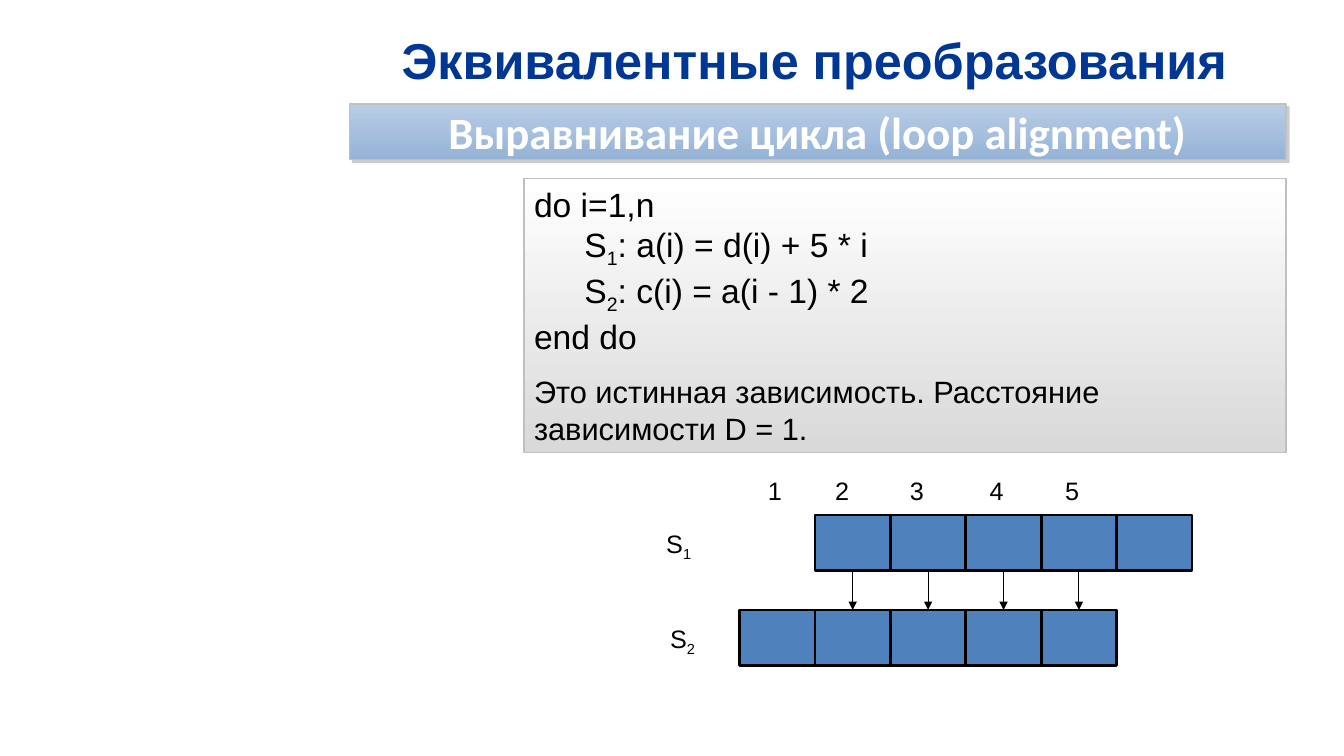
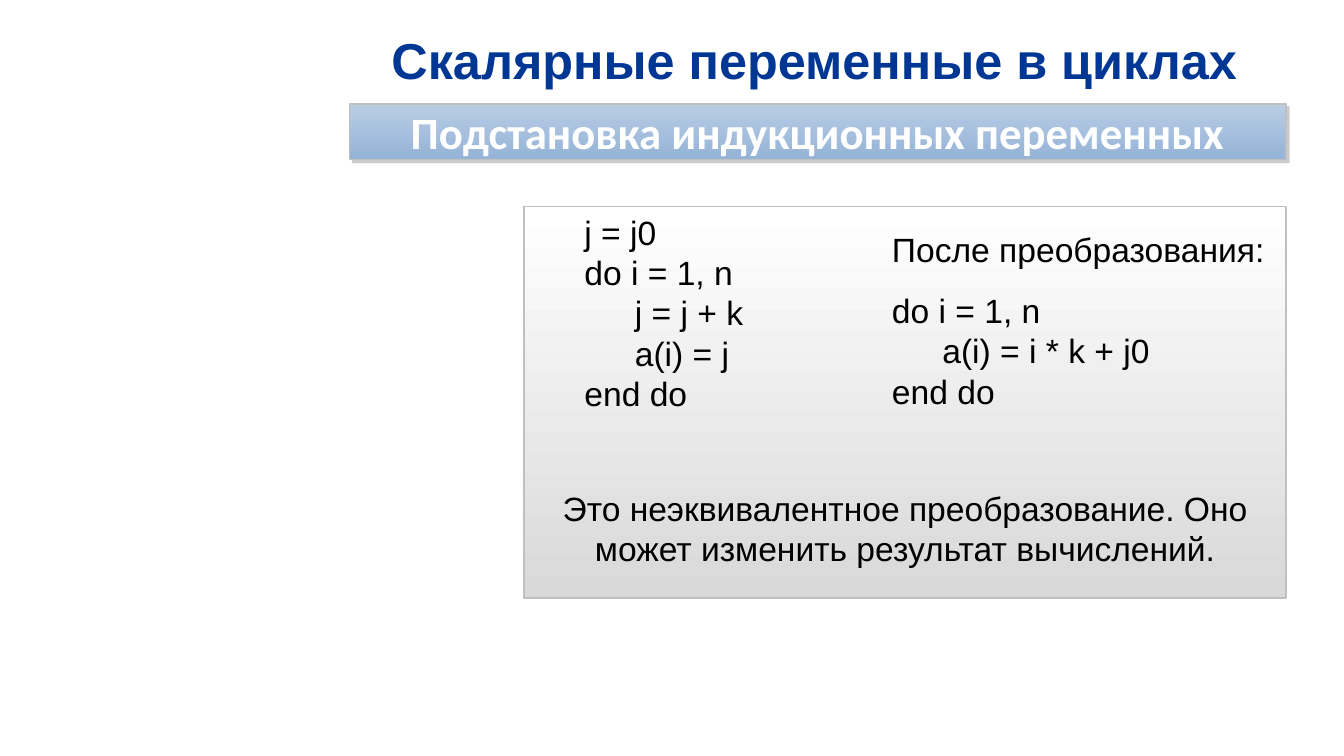
from lxml import etree
from pptx import Presentation
from pptx.dml.color import RGBColor
from pptx.enum.shapes import MSO_CONNECTOR, MSO_SHAPE
from pptx.enum.text import MSO_ANCHOR, MSO_AUTO_SIZE, PP_ALIGN
from pptx.oxml.ns import qn
from pptx.util import Cm, Pt

LEFT, MID = PP_ALIGN.LEFT, PP_ALIGN.CENTER
TOP, CENTRE = MSO_ANCHOR.TOP, MSO_ANCHOR.MIDDLE
RECT, LINE = MSO_SHAPE.RECTANGLE, MSO_CONNECTOR.STRAIGHT
ONLY_TITLE = 5

# Each line: indent level, runs (every second run is a subscript), format
LOOP = [
    (0, ["do i=1,n"], {}),
    (1, ["S", "1", ": a(i) = d(i) + 5 * i"], {}),
    (1, ["S", "2", ": c(i) = a(i - 1) * 2"], {}),
    (0, ["end do"], {}),
    (0, ["Это истинная зависимость. Расстояние зависимости D = 1."],
     {"style": "note", "space_before": Pt(12)}),
]
BEFORE = [
    (1, ["j = j0"], {}),
    (1, ["do i = 1, n"], {}),
    (2, ["j = j + k"], {}),
    (2, ["a(i) = j"], {}),
    (1, ["end do"], {}),
    (0, ["Это неэквивалентное преобразование. "
         "Оно может изменить результат вычислений."],
     {"alignment": MID, "space_before": Pt(53)}),
]
AFTER = [
    (0, ["После преобразования:"], {"space_after": Pt(15)}),
    (0, ["do i = 1, n"], {}),
    (1, ["a(i) = i * k + j0"], {}),
    (0, ["end do"], {}),
]
# Each row: subscript, label left, label top, cells top, first column
ROWS = [("1", 16.54, 13.18, 12.98, 1), ("2", 16.64, 15.57, 15.37, 0)]
NUMBERS = [("1", 19.1), ("2", 20.8), ("3", 22.68), ("4", 24.69), ("5", 26.59)]
NUM_TOP = 11.86
GRID, CELL_W, CELL_H, CELLS = 18.64, 1.9, 1.4, 5

TITLE_BOX = (8.13, 0.3, 24.79, 2.41)
BAND_BOX = (8.81, 2.62, 23.6, 1.4)
PANEL_X, PANEL_W = 13.21, 19.2

THEME = {
    "line": "C0C0C0", "ink": "000000", "cell": "4F81BD", "shade": "808080",
    "band_fill": ("B9CDE5", "95B3D7"),
    "panel_fill": ("FFFFFF", "D9D9D9"),
    "title": {"name": "Arial", "size": Pt(36), "bold": True, "color": "003794"},
    "band": {"name": "Calibri", "size": Pt(32), "bold": True, "color": "FFFFFF"},
    "code": {"name": "Arial", "size": Pt(24), "color": "000000"},
    "note": {"name": "Arial", "size": Pt(22), "color": "000000"},
    "label": {"name": "Arial", "size": Pt(18), "color": "000000"},
}


def assign(obj, values):
    for key, value in values.items():
        setattr(obj, key, value)


def place(*box):
    return [Cm(round(v, 2)) for v in box]


def write(shape, lines, style, anchor=TOP, **frame_fmt):
    frame = shape.text_frame
    assign(frame, {"word_wrap": True, "auto_size": MSO_AUTO_SIZE.NONE,
                   "vertical_anchor": anchor, **frame_fmt})
    for n, (level, runs, extra) in enumerate(lines):
        para = frame.add_paragraph() if n else frame.paragraphs[0]
        fmt = {"alignment": LEFT, **extra}
        font = dict(THEME[fmt.pop("style", style)])
        color = RGBColor.from_string(font.pop("color"))
        assign(para, fmt)
        if level:
            para._p.get_or_add_pPr().set("marL", str(Cm(1.27 * level)))
        for i, text in enumerate(runs):
            run = para.add_run()
            run.text = text
            assign(run.font, font)
            run.font.color.rgb = color
            if i % 2:
                run._r.get_or_add_rPr().set("baseline", "-25000")


def outline(shape, color, width):
    shape.line.color.rgb = RGBColor.from_string(color)
    shape.line.width = Pt(width)


def add_rect(slide, box, fill, line, width):
    """Draw a rectangle; a pair of fill colours runs from top to bottom."""
    shape = slide.shapes.add_shape(RECT, *place(*box))
    shape.shadow.inherit = False
    if isinstance(fill, tuple):
        shape.fill.gradient()
        shape.fill.gradient_angle = 270
        for stop, color in zip(shape.fill.gradient_stops, fill):
            stop.color.rgb = RGBColor.from_string(color)
    else:
        shape.fill.solid()
        shape.fill.fore_color.rgb = RGBColor.from_string(fill)
    outline(shape, line, width)
    return shape


def add_text(slide, box, lines, style):
    write(slide.shapes.add_textbox(*place(*box)), lines, style)


def add_panel(slide, top, height, lines):
    box = (PANEL_X, top, PANEL_W, height)
    panel = add_rect(slide, box, THEME["panel_fill"], THEME["line"], 1)
    write(panel, lines, "code")


def drop_shadow(shape):
    effects = shape._element.spPr.find(qn("a:effectLst"))
    outer = etree.SubElement(effects, qn("a:outerShdw"), blurRad="0",
                             dist=str(Pt(3)), dir="2700000", algn="tl")
    color = etree.SubElement(outer, qn("a:srgbClr"), val=THEME["shade"])
    etree.SubElement(color, qn("a:alpha"), val="40000")


def add_arrow(slide, x, top, bottom):
    arrow = slide.shapes.add_connector(LINE, *place(x, top, x, bottom))
    outline(arrow, THEME["ink"], 0.75)
    etree.SubElement(arrow.line._get_or_add_ln(), qn("a:tailEnd"),
                     type="triangle")
    etree.SubElement(arrow._element.spPr, qn("a:effectLst"))


def add_slide(deck, title, band):
    slide = deck.slides.add_slide(deck.slide_layouts[ONLY_TITLE])
    head = slide.shapes.title
    assign(head, dict(zip(("left", "top", "width", "height"),
                          place(*TITLE_BOX))))
    write(head, [(0, [title], {"alignment": MID})], "title", CENTRE)
    bar = add_rect(slide, BAND_BOX, THEME["band_fill"], THEME["line"], 1)
    drop_shadow(bar)
    write(bar, [(0, [band], {"alignment": MID})], "band", CENTRE,
          margin_left=Cm(0.61), margin_right=Cm(0.61),
          margin_top=Cm(0.1), margin_bottom=Cm(0.1))
    return slide


def add_grid(slide):
    """Draw both statement rows, their labels and the arrows between them."""
    for sub, x, y, top, first in ROWS:
        for col in range(first, first + CELLS):
            box = (GRID + col * CELL_W, top, CELL_W, CELL_H)
            add_rect(slide, box, THEME["cell"], THEME["ink"], 2)
        add_text(slide, (x, y, 1.5, 1.02), [(0, ["S", sub], {})], "label")
    for text, x in NUMBERS:
        add_text(slide, (x, NUM_TOP, 1.19, 1.02), [(0, [text], {})], "label")
    upper, lower = (row[3] for row in ROWS)
    for col in range(1, CELLS):
        add_arrow(slide, GRID + (col + 0.5) * CELL_W, upper + CELL_H, lower)


def main():
    deck = Presentation()
    deck.slide_width, deck.slide_height = place(33.87, 19.05)

    slide = add_slide(deck, "Эквивалентные преобразования",
                      "Выравнивание цикла (loop alignment)")
    add_panel(slide, 4.5, 6.91, LOOP)
    add_grid(slide)

    slide = add_slide(deck, "Скалярные переменные в циклах",
                      "Подстановка индукционных переменных")
    add_panel(slide, 5.21, 9.86, BEFORE)
    add_text(slide, (22.23, 5.64, 10.19, 4.9), AFTER, "code")

    deck.save("out.pptx")


if __name__ == "__main__":
    main()
